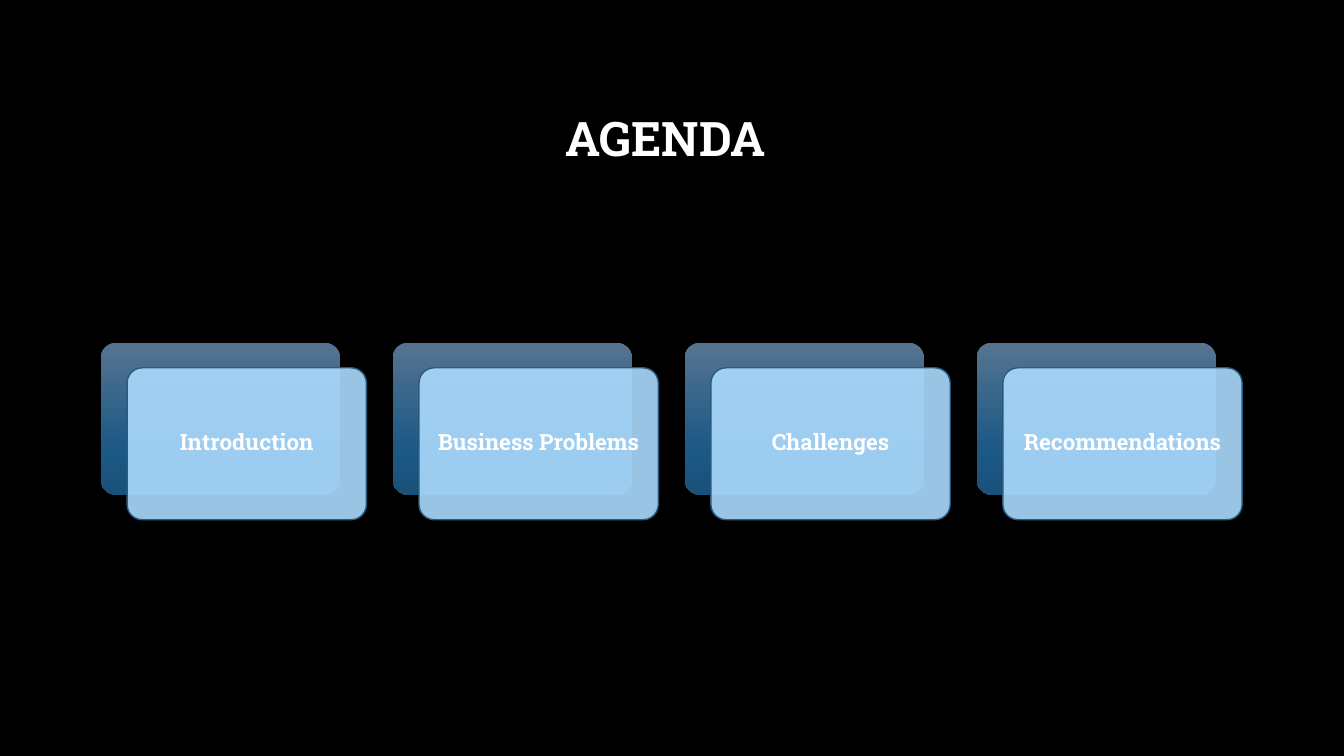
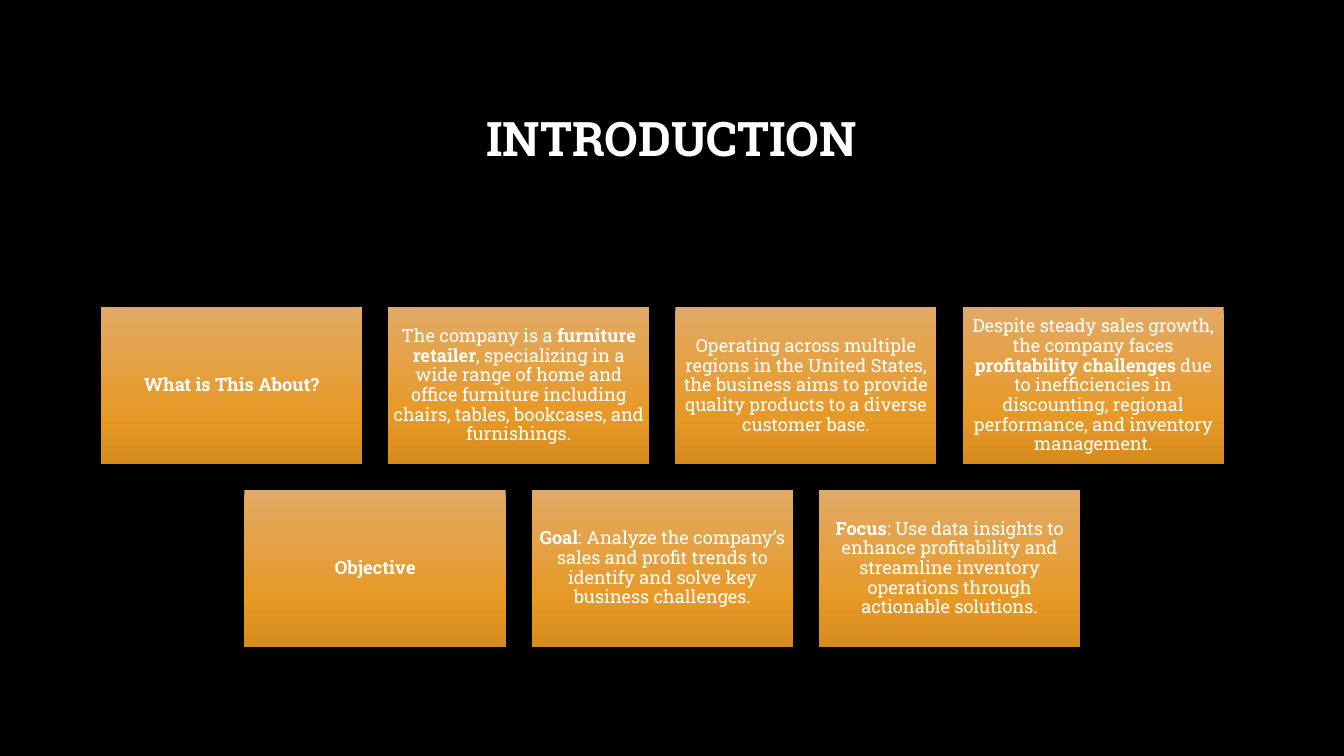
from copy import deepcopy

from lxml import etree
from pptx import Presentation
from pptx.dml.color import RGBColor
from pptx.enum.shapes import MSO_SHAPE
from pptx.enum.text import MSO_ANCHOR, PP_ALIGN
from pptx.oxml.ns import qn
from pptx.util import Inches, Pt

RECTANGLE = MSO_SHAPE.RECTANGLE
ROUNDED = MSO_SHAPE.ROUNDED_RECTANGLE
MIDDLE = MSO_ANCHOR.MIDDLE
CENTER = PP_ALIGN.CENTER

FONT = "Roboto Slab"
BLACK = RGBColor(0x00, 0x00, 0x00)
WHITE = RGBColor(0xFF, 0xFF, 0xFF)
SKY = RGBColor(0xAB, 0xDA, 0xFC)
NAVY = RGBColor(0x2A, 0x5B, 0x7F)
BLUES = (RGBColor(0x56, 0x74, 0x91), RGBColor(0x1C, 0x59, 0x85), RGBColor(0x19, 0x51, 0x79))
ORANGES = (RGBColor(0xE2, 0xAA, 0x66), RGBColor(0xE7, 0x99, 0x26), RGBColor(0xD6, 0x8B, 0x1F))
STOPS = (0, 0.69, 1)

MARGIN = Inches(1)
CONTENT_WIDTH = Inches(11.32)

AGENDA = ("Introduction", "Business Problems", "Challenges", "Recommendations")

# Each card is a list of (text, bold) runs.
INTRODUCTION_ROWS = (
    (
        [("What is This About?", True)],
        [("The company is a ", False), ("furniture retailer", True),
         (", specializing in a wide range of home and office furniture including "
          "chairs, tables, bookcases, and furnishings.", False)],
        [("Operating across multiple regions in the United States, the business aims "
          "to provide quality products to a diverse customer base.", False)],
        [("Despite steady sales growth, the company faces ", False),
         ("profitability challenges", True),
         (" due to inefficiencies in discounting, regional performance, and "
          "inventory management.", False)],
    ),
    (
        [("Objective", True)],
        [("Goal", True),
         (": Analyze the company’s sales and profit trends to identify and solve key "
          "business challenges.", False)],
        [("Focus", True),
         (": Use data insights to enhance profitability and streamline inventory "
          "operations through actionable solutions.", False)],
    ),
)


def write(shape, runs, size, inset):
    """Fill a shape with one centred white paragraph of (text, bold) runs."""
    frame = shape.text_frame
    frame.word_wrap = True
    frame.vertical_anchor = MIDDLE
    frame.margin_left = frame.margin_right = inset
    frame.margin_top = frame.margin_bottom = inset
    paragraph = frame.paragraphs[0]
    paragraph.alignment = CENTER
    paragraph.line_spacing = 0.9
    font = paragraph.font
    font.name, font.size, font.color.rgb = FONT, Pt(size), WHITE
    for text, bold in runs:
        run = paragraph.add_run()
        run.text = text
        run.font.bold = bold


def add_gradient_card(slide, kind, left, top, width, height, colors):
    """Add a borderless card shaded from top to bottom through three colours."""
    card = slide.shapes.add_shape(kind, int(left), int(top), int(width), int(height))
    card.shadow.inherit = False
    card.line.fill.background()
    card.fill.gradient()
    card.fill.gradient_angle = 270
    stop_list = card._element.spPr.find(qn("a:gradFill")).find(qn("a:gsLst"))
    stop_list.append(deepcopy(stop_list[0]))
    for stop, position, color in zip(card.fill.gradient_stops, STOPS, colors):
        stop.position = position
        stop.color.rgb = color
    return card


prs = Presentation()
prs.slide_width, prs.slide_height = Inches(13.33), Inches(7.5)
background = prs.slide_master.background.fill
background.solid()
background.fore_color.rgb = BLACK

slides = []
for title in ("AGENDA ", "INTRODUCTION"):
    slide = prs.slides.add_slide(prs.slide_layouts[6])
    title_box = slide.shapes.add_textbox(MARGIN, Inches(0.67), CONTENT_WIDTH, Inches(1.45))
    write(title_box, [(title, True)], 34, Inches(0.1))
    slides.append(slide)
agenda_slide, introduction_slide = slides

# Agenda: four pairs of cards, the front one shifted right and down
width = CONTENT_WIDTH / 4.77
height = 0.635 * width
back_top = Inches(3.4)
for column, topic in enumerate(AGENDA):
    left = MARGIN + column * 1.22 * width
    add_gradient_card(agenda_slide, ROUNDED, left, back_top, width, height, BLUES).adjustments[0] = 0.1
    front = agenda_slide.shapes.add_shape(
        ROUNDED, int(left + 0.11 * width), int(back_top + 0.105 * width), int(width), int(height))
    front.adjustments[0] = 0.1
    front.shadow.inherit = False
    front.fill.solid()
    front.fill.fore_color.rgb = SKY
    sky = front._element.spPr.find(qn("a:solidFill"))[0]
    etree.SubElement(sky, qn("a:alpha")).set("val", "90000")
    front.line.color.rgb = NAVY
    front.line.width = Pt(1)
    write(front, [(topic, True)], 16, Inches(0.11))

# Introduction: two rows of cards, the shorter one centred under the longer
width = Inches(2.59)
height, gap = 0.6 * width, 0.1 * width
pitch = width + gap
for row, cards in enumerate(INTRODUCTION_ROWS):
    indent = (len(INTRODUCTION_ROWS[0]) - len(cards)) * pitch / 2
    top = Inches(3.05) + row * (height + gap)
    for column, runs in enumerate(cards):
        left = MARGIN + indent + column * pitch
        card = add_gradient_card(introduction_slide, RECTANGLE, left, top, width, height, ORANGES)
        write(card, runs, 13, Inches(0.05))

prs.save("out.pptx")
